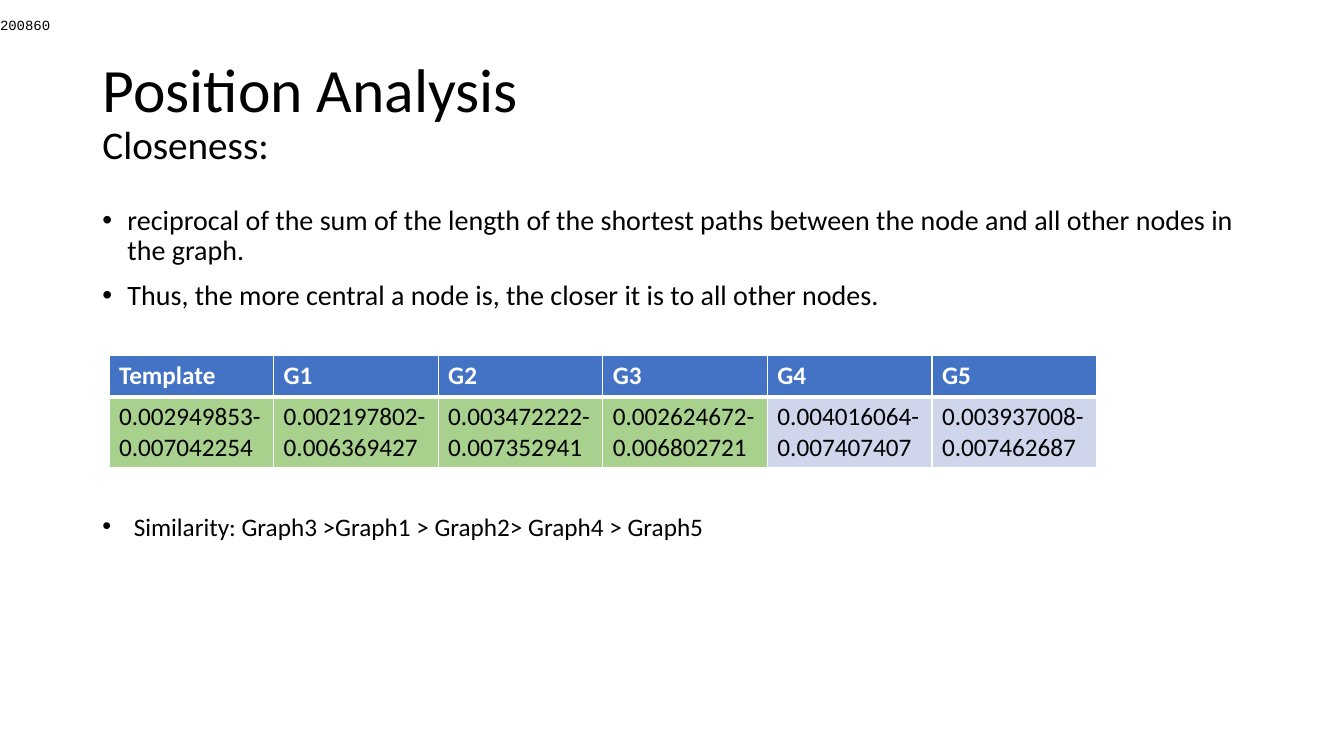
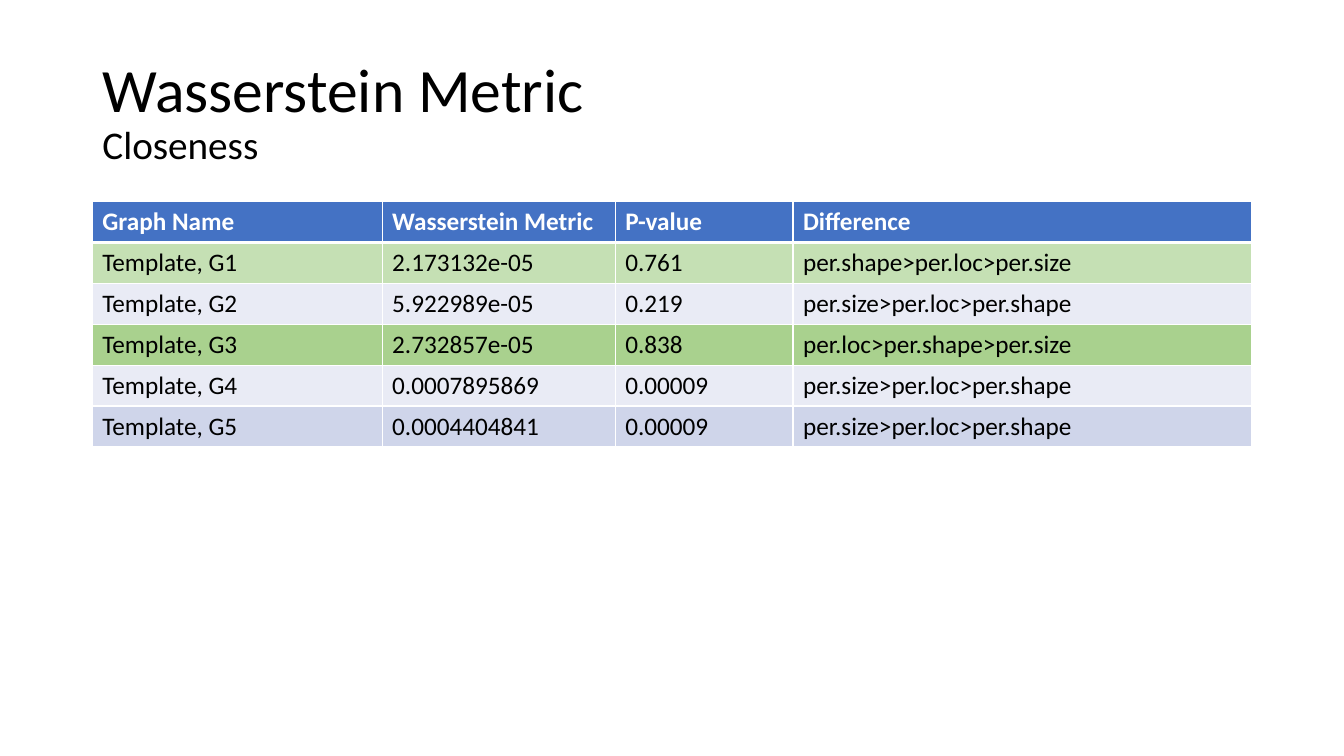
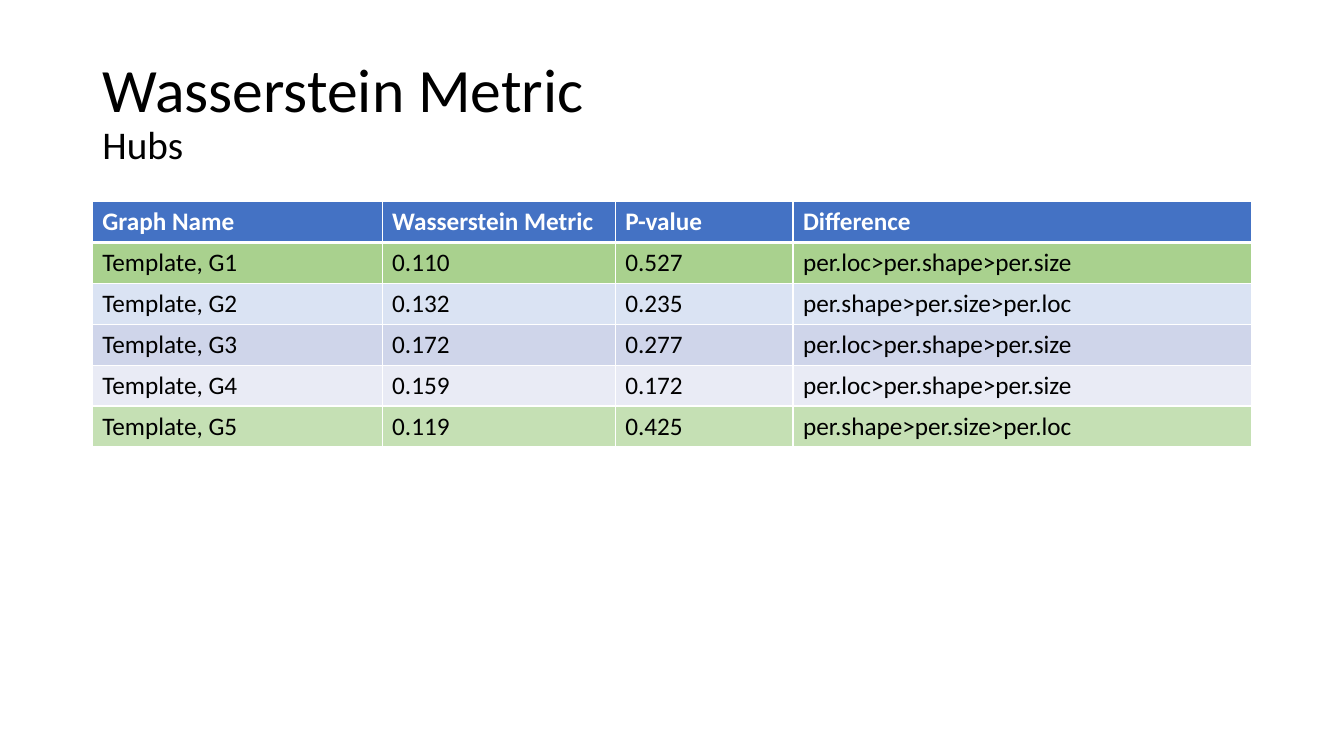
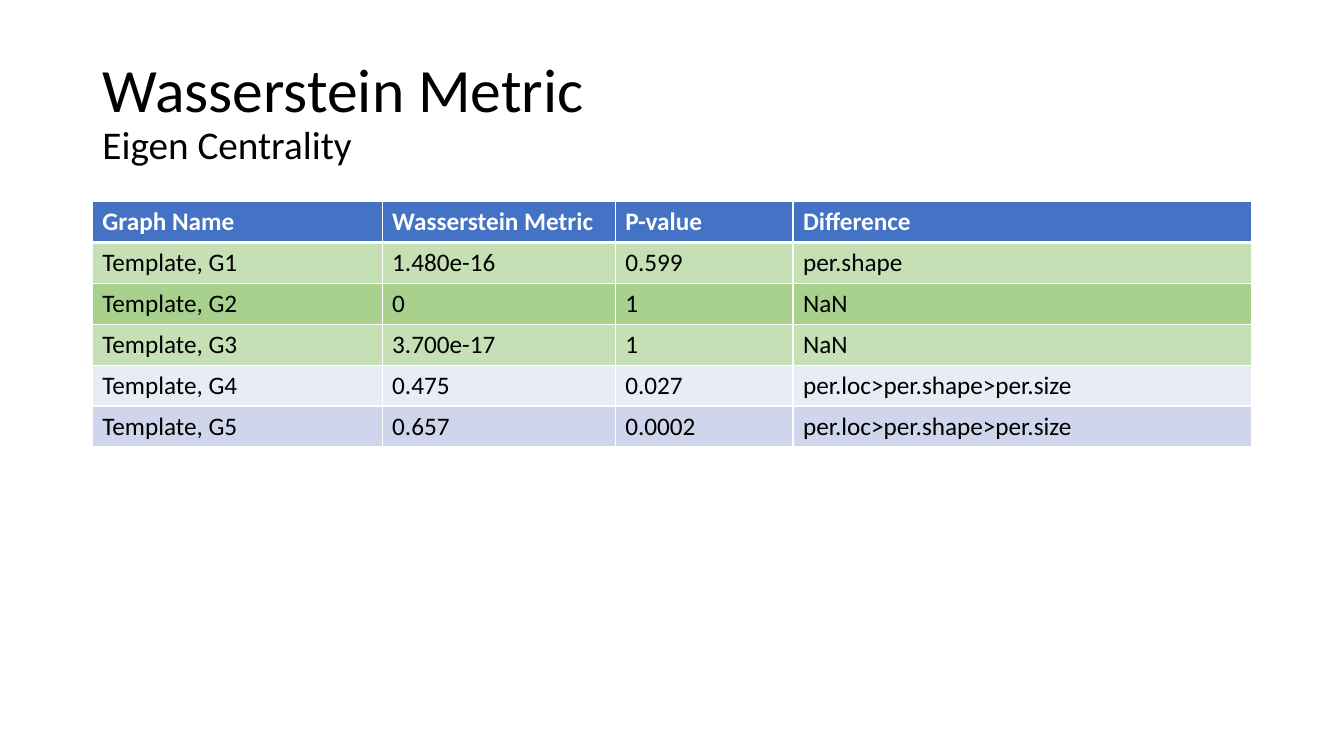
from lxml import etree
from pptx import Presentation
from pptx.dml.color import RGBColor
from pptx.enum.shapes import MSO_SHAPE
from pptx.enum.text import MSO_ANCHOR, MSO_AUTO_SIZE, PP_ALIGN
from pptx.oxml.ns import qn
from pptx.util import Pt

RECTANGLE = MSO_SHAPE.RECTANGLE
MIDDLE = MSO_ANCHOR.MIDDLE
NO_AUTOFIT = MSO_AUTO_SIZE.NONE
LEFT = PP_ALIGN.LEFT

SLIDE_WIDTH, SLIDE_HEIGHT = 960, 540
MARGIN = 66
CONTENT_WIDTH = SLIDE_WIDTH - 2 * MARGIN
CONTENT_TOP = 144
ROW_HEIGHT = 29.2
TITLE_ONLY = 5

FONT = "Calibri"
CODE_FONT = "Courier New"
BLACK, WHITE = "000000", "FFFFFF"
HEADER_BLUE = "4472C4"
DARK_GREEN, LIGHT_GREEN = "A9D18E", "C5E0B4"
DARK_BAND, LIGHT_BAND = "CFD5EA", "E9EBF5"
PALE_BLUE = "DAE3F3"

METRIC_HEADER = ["Graph Name", "Wasserstein Metric", "P-value", "Difference"]
METRIC_COLUMNS = [207, 166.5, 127, 327.5]

CLOSENESS_RANGES = {
    "Template": ("0.002949853-0.007042254", DARK_GREEN),
    "G1": ("0.002197802-0.006369427", DARK_GREEN),
    "G2": ("0.003472222-0.007352941", DARK_GREEN),
    "G3": ("0.002624672-0.006802721", DARK_GREEN),
    "G4": ("0.004016064-0.007407407", DARK_BAND),
    "G5": ("0.003937008-0.007462687", DARK_BAND),
}

# Rows for G1 to G5: metric, p-value, difference, row colour
METRICS = {
    "Closeness": [
        ("2.173132e-05", "0.761", "per.shape>per.loc>per.size", LIGHT_GREEN),
        ("5.922989e-05", "0.219", "per.size>per.loc>per.shape", LIGHT_BAND),
        ("2.732857e-05", "0.838", "per.loc>per.shape>per.size", DARK_GREEN),
        ("0.0007895869", "0.00009", "per.size>per.loc>per.shape", LIGHT_BAND),
        ("0.0004404841", "0.00009", "per.size>per.loc>per.shape", DARK_BAND),
    ],
    "Hubs": [
        ("0.110", "0.527", "per.loc>per.shape>per.size", DARK_GREEN),
        ("0.132", "0.235", "per.shape>per.size>per.loc", PALE_BLUE),
        ("0.172", "0.277", "per.loc>per.shape>per.size", DARK_BAND),
        ("0.159", "0.172", "per.loc>per.shape>per.size", LIGHT_BAND),
        ("0.119", "0.425", "per.shape>per.size>per.loc", LIGHT_GREEN),
    ],
    "Eigen Centrality": [
        ("1.480e-16", "0.599", "per.shape", LIGHT_GREEN),
        ("0", "1", "NaN", DARK_GREEN),
        ("3.700e-17", "1", "NaN", LIGHT_GREEN),
        ("0.475", "0.027", "per.loc>per.shape>per.size", LIGHT_BAND),
        ("0.657", "0.0002", "per.loc>per.shape>per.size", DARK_BAND),
    ],
}


def colour(hex_code):
    return RGBColor.from_string(hex_code)


def points(*lengths):
    return [Pt(length) for length in lengths]


def add_span(para, text, size, hex_code=BLACK, bold=False, font=FONT):
    span = para.add_run()
    span.text = text
    span.font.name = font
    span.font.size = Pt(size)
    span.font.bold = bold
    span.font.color.rgb = colour(hex_code)


def add_page(deck, heading, subheading):
    """Add a slide with a two-line title."""
    page = deck.slides.add_slide(deck.slide_layouts[TITLE_ONLY])
    title = page.shapes.title
    title.left, title.top, title.width, title.height = points(
        MARGIN, 28.8, CONTENT_WIDTH, 104.4)
    frame = title.text_frame
    frame.auto_size = NO_AUTOFIT
    frame.vertical_anchor = MIDDLE
    para = frame.paragraphs[0]
    para.alignment = LEFT
    para.line_spacing = 0.9
    add_span(para, heading, 44)
    para.add_line_break()
    add_span(para, subheading, 28)
    return page


def set_bullet(para, indent):
    properties = para._p.get_or_add_pPr()
    properties.set("marL", str(Pt(indent)))
    properties.set("indent", str(-Pt(indent)))
    etree.SubElement(properties, qn("a:buFont"), typeface="Arial")
    etree.SubElement(properties, qn("a:buChar"), char="•")


def add_bullets(page, top, height, items, size, indent, line_spacing=1.0, space_before=0):
    box = page.shapes.add_textbox(*points(MARGIN, top, CONTENT_WIDTH, height))
    frame = box.text_frame
    frame.word_wrap = True
    for index, item in enumerate(items):
        para = frame.add_paragraph() if index else frame.paragraphs[0]
        para.line_spacing = line_spacing
        para.space_before = Pt(space_before)
        set_bullet(para, indent)
        add_span(para, item, size)


def add_code_strip(page, text):
    """Put a small code on a white strip along the top edge."""
    strip = page.shapes.add_shape(RECTANGLE, *points(0, 0, SLIDE_WIDTH, 36))
    strip.shadow.inherit = False
    strip.fill.solid()
    strip.fill.fore_color.rgb = colour(WHITE)
    strip.line.fill.background()
    frame = strip.text_frame
    frame.margin_left = frame.margin_right = frame.margin_top = frame.margin_bottom = 0
    frame.word_wrap = True
    frame.vertical_anchor = MIDDLE
    para = frame.paragraphs[0]
    para.alignment = LEFT
    add_span(para, text, 10, font=CODE_FONT)


def set_borders(cell, top, bottom):
    """Draw white borders, 1 pt at the sides."""
    properties = cell._tc.get_or_add_tcPr()
    for side, width in (("L", 1), ("R", 1), ("T", top), ("B", bottom)):
        line = etree.SubElement(properties, qn(f"a:ln{side}"), w=str(Pt(width)))
        fill = etree.SubElement(line, qn("a:solidFill"))
        etree.SubElement(fill, qn("a:srgbClr"), val=WHITE)


def add_grid(page, left, top, widths, heights, rows, fills):
    """Add a table with a header row; fills holds one colour per cell."""
    frame = page.shapes.add_table(
        len(rows), len(widths), *points(left, top, sum(widths), sum(heights)))
    table = frame.table
    for column, width in zip(table.columns, widths):
        column.width = Pt(width)
    for row, height in zip(table.rows, heights):
        row.height = Pt(height)
    for row_index, texts in enumerate(rows):
        is_header = row_index == 0
        for column_index, text in enumerate(texts):
            cell = table.cell(row_index, column_index)
            set_borders(cell, top=3 if row_index == 1 else 1, bottom=3 if is_header else 1)
            cell.fill.solid()
            cell.fill.fore_color.rgb = colour(fills[row_index][column_index])
            add_span(cell.text_frame.paragraphs[0], text, 18,
                     WHITE if is_header else BLACK, bold=is_header)


def add_position_page(deck):
    page = add_page(deck, "Position Analysis", "Closeness:")
    add_bullets(page, CONTENT_TOP, 100, [
        "reciprocal of the sum of the length of the shortest paths between the node "
        "and all other nodes in the graph.",
        "Thus, the more central a node is, the closer it is to all other nodes.",
    ], size=20, indent=18, line_spacing=0.9, space_before=10)
    add_code_strip(page, "200860")
    ranges, range_fills = zip(*CLOSENESS_RANGES.values())
    count = len(ranges)
    add_grid(page, 77.8, 254.2, [117.6] * count, [ROW_HEIGHT, 50.8],
             [list(CLOSENESS_RANGES), ranges], [[HEADER_BLUE] * count, range_fills])
    add_bullets(page, 361.4, 29, ["Similarity: Graph3 >Graph1 > Graph2> Graph4 > Graph5"],
                size=18, indent=22.5)


def add_metric_page(deck, measure, results):
    page = add_page(deck, "Wasserstein Metric", measure)
    rows, fills = [METRIC_HEADER], [[HEADER_BLUE] * len(METRIC_HEADER)]
    for number, (*values, fill) in enumerate(results, start=1):
        rows.append([f"Template, G{number}", *values])
        fills.append([fill] * len(METRIC_HEADER))
    add_grid(page, MARGIN, CONTENT_TOP, METRIC_COLUMNS, [ROW_HEIGHT] * len(rows), rows, fills)


def main():
    deck = Presentation()
    deck.slide_width, deck.slide_height = points(SLIDE_WIDTH, SLIDE_HEIGHT)
    add_position_page(deck)
    for measure, results in METRICS.items():
        add_metric_page(deck, measure, results)
    deck.save("out.pptx")


if __name__ == "__main__":
    main()
